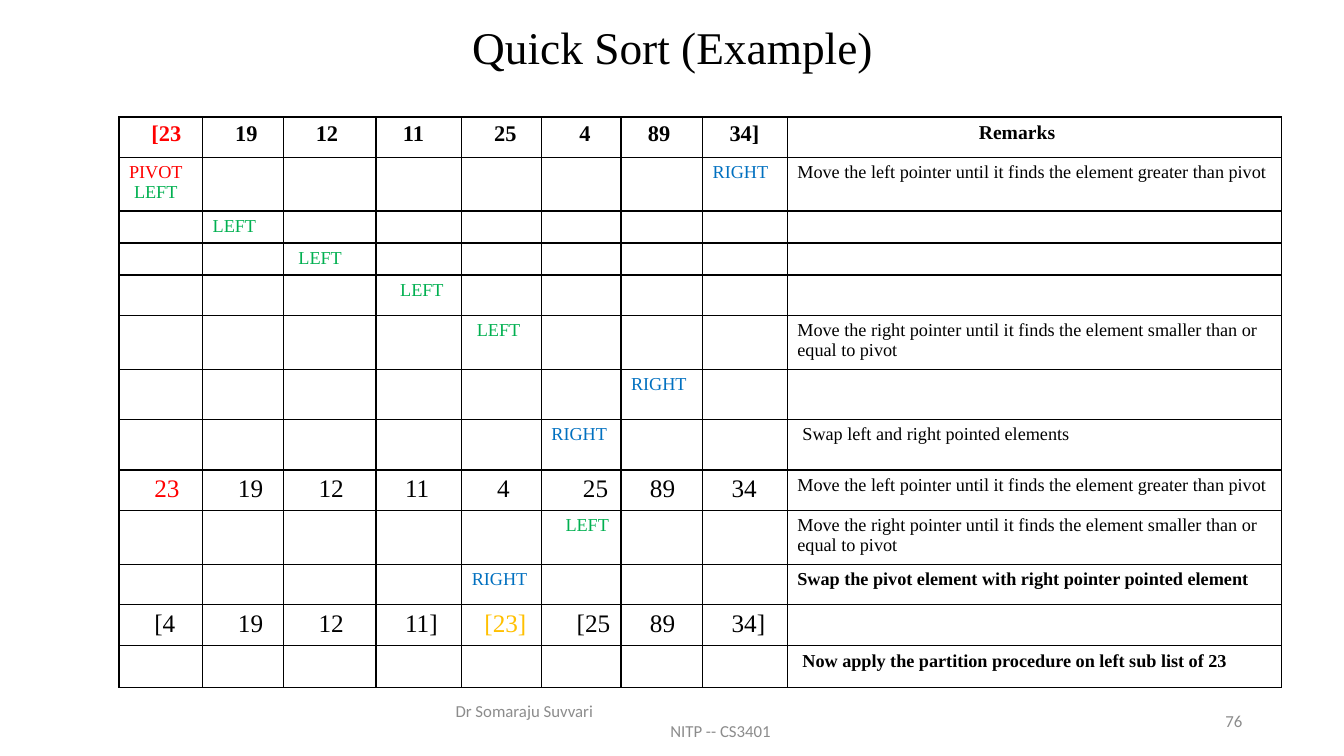
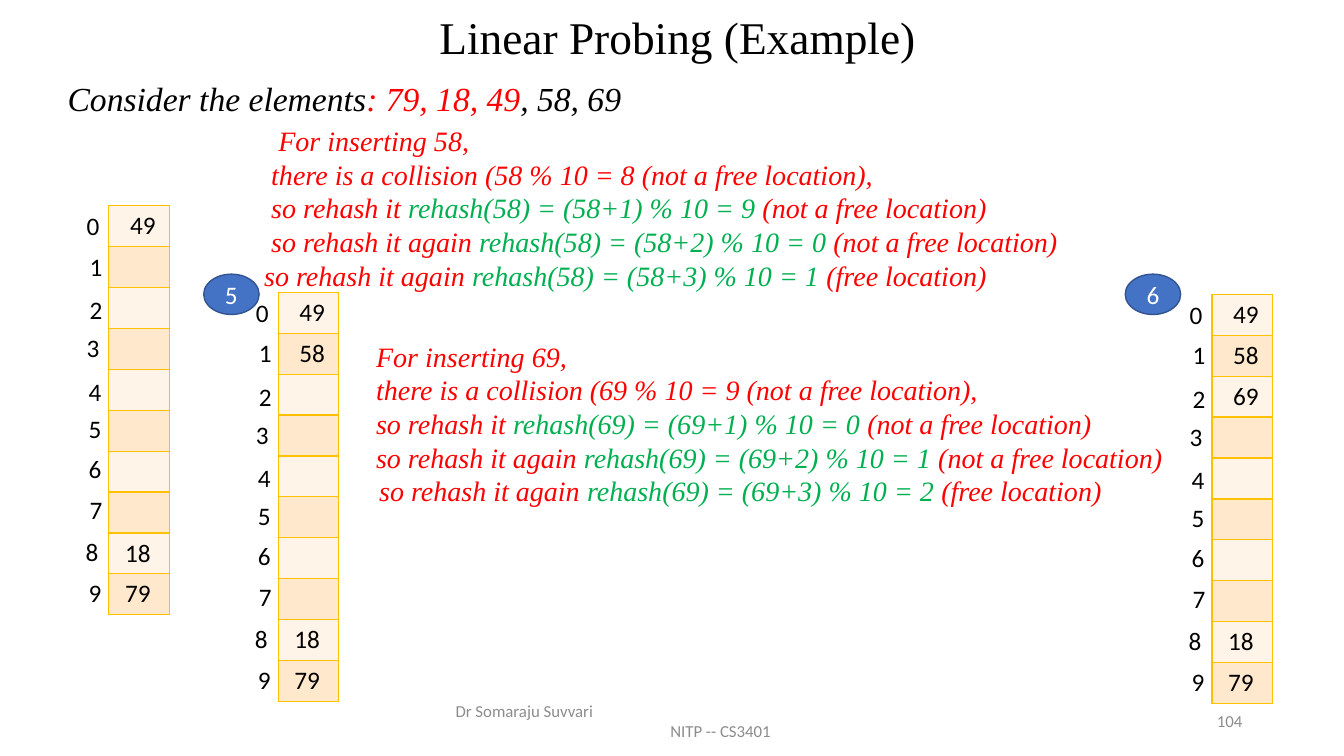
from lxml import etree
from pptx import Presentation
from pptx.dml.color import RGBColor
from pptx.enum.shapes import MSO_SHAPE
from pptx.enum.text import MSO_ANCHOR, MSO_AUTO_SIZE, PP_ALIGN
from pptx.oxml.ns import qn
from pptx.util import Inches, Pt

OVAL = MSO_SHAPE.OVAL
MIDDLE, TOP = MSO_ANCHOR.MIDDLE, MSO_ANCHOR.TOP
NO_FIT = MSO_AUTO_SIZE.NONE
LEFT, CENTER, RIGHT = PP_ALIGN.LEFT, PP_ALIGN.CENTER, PP_ALIGN.RIGHT

BLACK = RGBColor(0x00, 0x00, 0x00)
WHITE = RGBColor(0xFF, 0xFF, 0xFF)
RED = RGBColor(0xFF, 0x00, 0x00)
GREEN = RGBColor(0x00, 0xB0, 0x50)
BLUE = RGBColor(0x00, 0x70, 0xC0)
AMBER = RGBColor(0xFF, 0xC0, 0x00)
GRAY = RGBColor(0x8C, 0x8C, 0x8C)
BADGE = RGBColor(0x44, 0x72, 0xC4)
BADGE_LINE = RGBColor(0x32, 0x54, 0x91)
BANDS = (RGBColor(0xFF, 0xF4, 0xE7), RGBColor(0xFF, 0xE8, 0xCC))

SERIF, SANS = "Times New Roman", "Calibri"
TITLE_ONLY, TITLE_BODY = 5, 1

SORT_COLS = [0.83, 0.8, 0.92, 0.85, 0.79, 0.79, 0.81, 0.84, 4.9]
SORT_ROWS = [0.4, 0.5, 0.3, 0.3, 0.4, 0.5, 0.5, 0.5, 0.4, 0.5, 0.4, 0.41, 0.41]
REMARKS = len(SORT_COLS) - 1
MOVE_LEFT = "Move the left pointer until it finds the element greater than pivot"
MOVE_RIGHT = ("Move the right pointer until it finds the element "
              "smaller than or equal to pivot")
HEADS = ["[23", "19", "12", "11", "25", "4", "89", "34]"]
SWAPPED = ["23", "19", "12", "11", "4", "25", "89", "34"]
SPLIT = ["[4", "19", "12", "11]", "[23]", "[25", "89", "34]"]

POINTERS = [
    (1, 0, "PIVOT", RED, 0), (1, 0, "LEFT", GREEN, 0.05),
    (1, 7, "RIGHT", BLUE, 0), (2, 1, "LEFT", GREEN, 0),
    (3, 2, "LEFT", GREEN, 0.05), (4, 3, "LEFT", GREEN, 0.14),
    (5, 4, "LEFT", GREEN, 0.05), (6, 6, "RIGHT", BLUE, 0),
    (7, 5, "RIGHT", BLUE, 0), (9, 5, "LEFT", GREEN, 0.14),
    (10, 4, "RIGHT", BLUE, 0),
]
NOTES = [
    (1, MOVE_LEFT, 0, False), (5, MOVE_RIGHT, 0, False),
    (7, "Swap left and right pointed elements", 0.05, False),
    (8, MOVE_LEFT, 0, False), (9, MOVE_RIGHT, 0, False),
    (10, "Swap the pivot element with right pointer pointed element", 0, True),
    (12, "Now apply the partition procedure on left sub list of 23", 0.05, True),
]

INDEX_OFFSETS = [(-0.32, 0), (-0.29, 0.4), (-0.29, 0.83), (-0.32, 1.21),
                 (-0.3, 1.64), (-0.3, 2.01), (-0.3, 2.41), (-0.29, 2.82),
                 (-0.33, 3.23), (-0.3, 3.64)]
START_SLOTS = {0: "49", 8: "18", 9: "79"}
HASH_TABLES = [
    (1.08, 2.04, START_SLOTS),
    (2.76, 2.9, START_SLOTS | {1: "58"}),
    (12.02, 2.92, START_SLOTS | {1: "58", 2: "69"}),
]
PROBES = [
    (58, 8, 4, [2.09, 2.02, 2.02, 2.02, 1.95],
     [(9, "not a free"), (0, "not a free"), (1, "free")]),
    (69, 9, 34, [3.06, 3.06, 3.06, 3.06, 3.09],
     [(0, "not a free"), (1, "not a free"), (2, "free")]),
]


def add_run(p, text, size, color, font=SERIF, bold=False, italic=False):
    r = p.add_run()
    r.text = text
    f = r.font
    f.name, f.size, f.bold, f.italic = font, Pt(size), bold, italic
    f.color.rgb = color


def set_indent(p, indent):
    pPr = p._p.get_or_add_pPr()
    pPr.set("marL", str(Inches(indent)))
    pPr.set("indent", "0")
    return pPr


def next_paragraph(tf):
    p = tf.paragraphs[-1]
    return tf.add_paragraph() if p.runs else p


def place(sp, x, y, w, h):
    sp.left, sp.top, sp.width, sp.height = map(Inches, (x, y, w, h))


def add_text_box(slide, x, y, w, h, anchor=TOP):
    tf = slide.shapes.add_textbox(*map(Inches, (x, y, w, h))).text_frame
    tf.word_wrap = True
    tf.vertical_anchor = anchor
    return tf


def new_slide(prs, layout, title, x, y, number):
    slide = prs.slides.add_slide(prs.slide_layouts[layout])
    sp = slide.shapes.title
    place(sp, x, y, 11.5, 0.59)
    tf = sp.text_frame
    tf.auto_size = NO_FIT
    tf.vertical_anchor = MIDDLE
    p = tf.paragraphs[0]
    p.alignment = CENTER
    p.line_spacing = 0.9
    add_run(p, title, 32.4, BLACK)
    add_footer(slide, 4.42, 6.95, number)
    return slide


def add_footer(slide, x, y, number):
    tf = add_text_box(slide, x, y, 4.5, 0.4, MIDDLE)
    for text, indent in (("Dr Somaraju Suvvari", 0), ("NITP -- CS3401", 2.13)):
        p = next_paragraph(tf)
        set_indent(p, indent)
        add_run(p, text, 12, GRAY, SANS)
    p = add_text_box(slide, x + 5, y, 3, 0.4, MIDDLE).paragraphs[0]
    p.alignment = RIGHT
    add_run(p, number, 12, GRAY, SANS)


def add_grid(slide, x, y, cols, rows, fills, border):
    frame = slide.shapes.add_table(len(rows), len(cols), Inches(x), Inches(y),
                                   sum(cols), sum(rows))
    table = frame.table
    table.first_row = table.horz_banding = False
    for column, width in zip(table.columns, cols):
        column.width = width
    for i, (row, height) in enumerate(zip(table.rows, rows)):
        row.height = height
        for cell in row.cells:
            style_cell(cell, fills[i % len(fills)], border)
    return table


def style_cell(cell, fill, border):
    tcPr = cell._tc.get_or_add_tcPr()
    for side in ("lnL", "lnR", "lnT", "lnB"):
        ln = etree.SubElement(tcPr, qn("a:" + side), w=str(Pt(1)))
        solid = etree.SubElement(ln, qn("a:solidFill"))
        etree.SubElement(solid, qn("a:srgbClr"), val=str(border))
    cell.fill.solid()
    cell.fill.fore_color.rgb = fill


def write_cell(cell, text, size, color, indent=0, font=SERIF, bold=False):
    p = next_paragraph(cell.text_frame)
    set_indent(p, indent)
    add_run(p, text, size, color, font, bold)


def add_sort_table(slide, x, y):
    table = add_grid(slide, x, y, [Inches(w) for w in SORT_COLS],
                     [Inches(h) for h in SORT_ROWS], [WHITE], BLACK)
    number_rows = [
        (0, HEADS, 16, True, [4, 4, 4, 3, 4, 5, 3, 3], {0: RED}),
        (8, SWAPPED, 18, False, [4, 4, 4, 3, 4, 5, 3, 3], {0: RED}),
        (11, SPLIT, 18, False, [4, 4, 4, 3, 2, 4, 3, 3], {4: AMBER}),
    ]
    for row, numbers, size, bold, steps, colors in number_rows:
        for col, (text, step) in enumerate(zip(numbers, steps)):
            write_cell(table.cell(row, col), text, size, colors.get(col, BLACK),
                       step * size / 288, bold=bold)
    write_cell(table.cell(0, REMARKS), "Remarks", 14, BLACK, 1.8, bold=True)
    for row, col, text, color, indent in POINTERS:
        write_cell(table.cell(row, col), text, 13, color, indent)
    for row, text, indent, bold in NOTES:
        write_cell(table.cell(row, REMARKS), text, 13, BLACK, indent, bold=bold)
    for cell in table.iter_cells():
        p = cell.text_frame.paragraphs[0]
        if not p.runs:
            etree.SubElement(p._p, qn("a:endParaRPr"), sz="1300")


def add_hash_table(slide, x, y, slots):
    rows = [Inches(4.06) // 10] * 10
    table = add_grid(slide, x, y, [Inches(0.6)], rows, BANDS, AMBER)
    for i, text in slots.items():
        write_cell(table.cell(i, 0), text, 18, BLACK,
                   0.06 if i > 7 else 0.11, SANS)
    for i, (dx, dy) in enumerate(INDEX_OFFSETS):
        tf = add_text_box(slide, x + dx, y + dy, 0.41, 0.4)
        add_run(tf.paragraphs[0], str(i), 18, BLACK, SANS)


def add_badge(slide, x, y, text):
    sp = slide.shapes.add_shape(OVAL, *map(Inches, (x, y, 0.55, 0.4)))
    sp.shadow.inherit = False
    sp.fill.solid()
    sp.fill.fore_color.rgb = BADGE
    sp.line.color.rgb = BADGE_LINE
    sp.line.width = Pt(1)
    tf = sp.text_frame
    tf.vertical_anchor = MIDDLE
    p = tf.paragraphs[0]
    p.alignment = CENTER
    add_run(p, text, 18, WHITE, SANS)


def add_body_line(tf, runs, size, indent=0, before=0):
    p = next_paragraph(tf)
    etree.SubElement(set_indent(p, indent), qn("a:buNone"))
    p.alignment = LEFT
    p.space_before = Pt(before)
    p.line_spacing = 1.0 if size > 20 else Pt(24)
    for text, color in runs:
        add_run(p, text, size, color, italic=True)


def add_probe_text(slide, x, y):
    sp = slide.placeholders[1]
    place(sp, x, y, 12.44, 6.2)
    tf = sp.text_frame
    tf.auto_size = NO_FIT
    tf.vertical_anchor = TOP
    add_body_line(tf, [("Consider the elements", BLACK), (": 79, 18, 49", RED),
                       (", 58, 69", BLACK)], 24)
    for key, home, gap, indents, tries in PROBES:
        lines = [
            [(f"For inserting {key},", RED)],
            [(f"there is a collision ({key} % 10 = {home} "
              "(not a free location),", RED)],
        ]
        for n, (slot, state) in enumerate(tries, 1):
            lead = "so rehash it " if n == 1 else "so rehash it again "
            lines.append([(lead, RED),
                          (f"rehash({key}) = ({key}+{n}) % 10 = {slot} ", GREEN),
                          (f"({state} location)", RED)])
        for i, (runs, indent) in enumerate(zip(lines, indents)):
            add_body_line(tf, runs, 20, indent, 0 if i else gap)


def quick_sort_slide(prs):
    slide = new_slide(prs, TITLE_ONLY, "Quick Sort (Example)", 0.92, 0.2, "76")
    add_sort_table(slide, 1.18, 1.16)


def linear_probing_slide(prs):
    slide = new_slide(prs, TITLE_BODY, "Linear Probing (Example)",
                      0.97, 0.1, "104")
    add_probe_text(slide, 0.57, 0.72)
    for x, y, slots in HASH_TABLES:
        add_hash_table(slide, x, y, slots)
    for x, text in ((2.02, "5"), (11.16, "6")):
        add_badge(slide, x, 2.72, text)


def main():
    prs = Presentation()
    prs.slide_width, prs.slide_height = Inches(13.33), Inches(7.5)
    quick_sort_slide(prs)
    linear_probing_slide(prs)
    prs.save("out.pptx")


if __name__ == "__main__":
    main()
